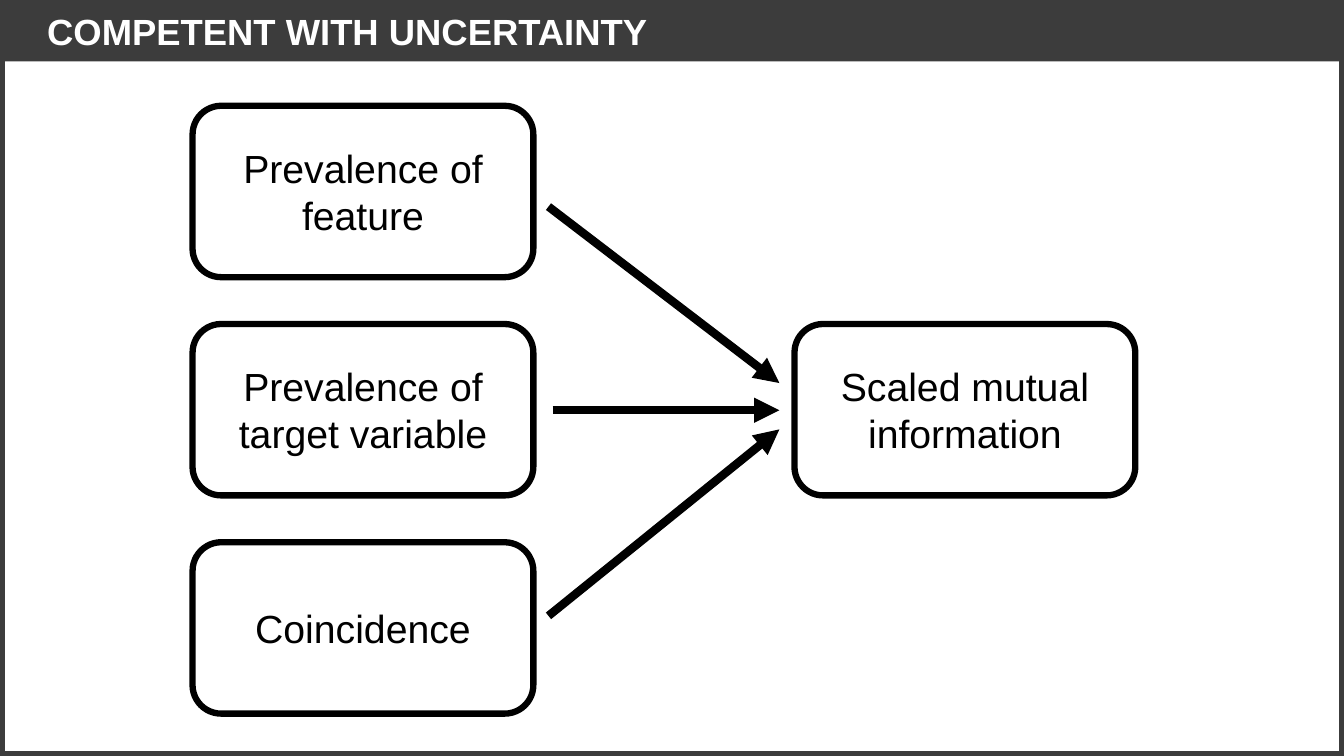
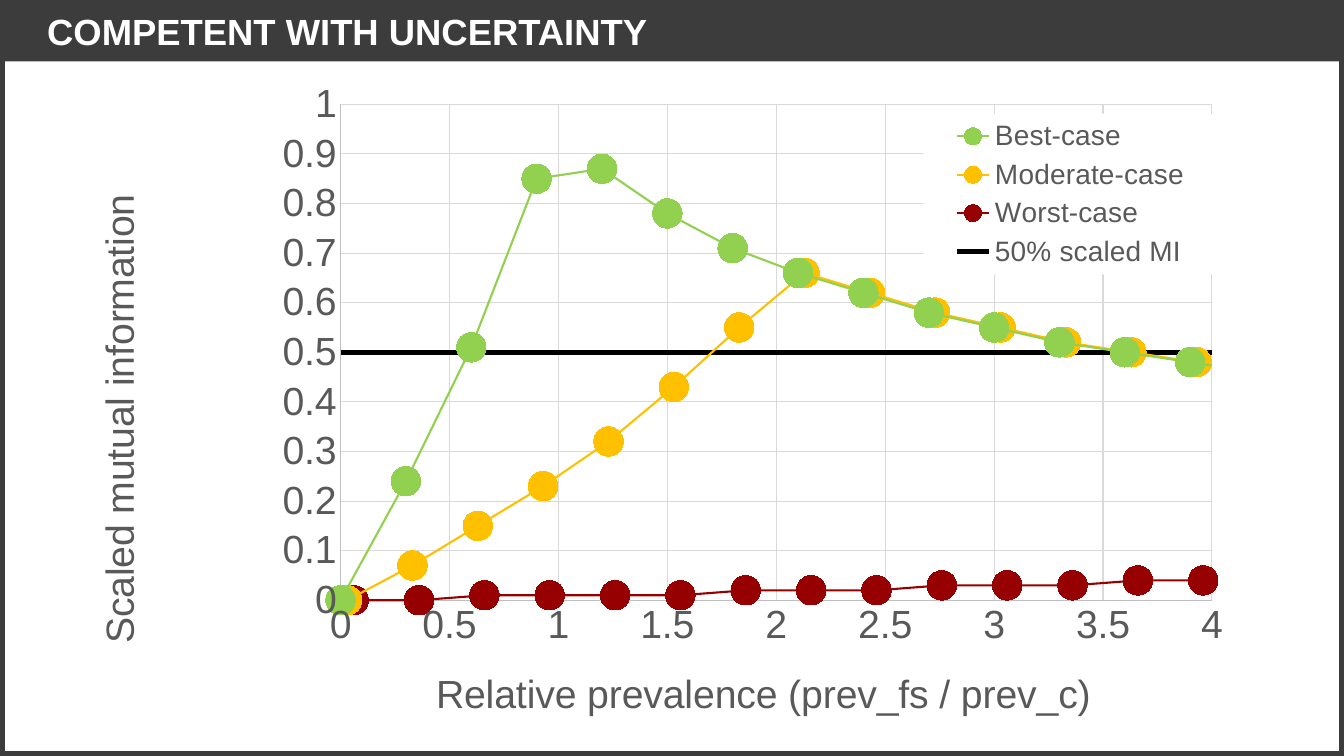
"""Build two slides on mutual information under uncertainty."""
from lxml.etree import SubElement
from pptx import Presentation
from pptx.chart.data import XyChartData
from pptx.dml.color import RGBColor
from pptx.enum.chart import XL_CHART_TYPE as ChartType
from pptx.enum.chart import XL_LEGEND_POSITION as LegendPosition
from pptx.enum.chart import XL_MARKER_STYLE as MarkerStyle
from pptx.enum.chart import XL_TICK_MARK as TickMark
from pptx.enum.shapes import MSO_CONNECTOR as Connector
from pptx.enum.shapes import MSO_SHAPE as Shape
from pptx.enum.text import MSO_ANCHOR as Anchor
from pptx.enum.text import PP_ALIGN as Align
from pptx.oxml import parse_xml
from pptx.oxml.ns import nsdecls, qn
from pptx.util import Inches, Pt

WIDTH, HEIGHT, BAND_HEIGHT = 13.33, 7.5, 0.61
FONT = "Arial"
DARK, WHITE, BLACK = "3C3C3C", "FFFFFF", "000000"
GREY, AXIS_GREY, GRID_GREY = "595959", "BFBFBF", "D9D9D9"
TITLE = "COMPETENT WITH UNCERTAINTY"

BOX_WIDTH, BOX_HEIGHT = 3.38, 1.7
INPUT_LEFT, RESULT_LEFT = 1.91, 7.88
FIRST_TOP, ROW_STEP = 1.05, 2.165
INPUTS = ["Prevalence of feature", "Prevalence of target variable", "Coincidence"]
ARROWS = [(5.44, 2.05, 3.8), (5.48, 4.07, 4.07), (5.44, 6.11, 4.26)]
ARROW_END = 7.73

X_STEP = 0.3
DECLINE = [0.66, 0.62, 0.58, 0.55, 0.52, 0.5, 0.48, 0.46, 0.44]
CASES = [
    ("Best-case", "92D050", 0, [0, 0.24, 0.51, 0.85, 0.87, 0.78, 0.71] + DECLINE),
    ("Moderate-case", "FFC000", 0.03,
     [0, 0.07, 0.15, 0.23, 0.32, 0.43, 0.55] + DECLINE),
    ("Worst-case", "960000", 0.06,
     [0, 0, 0.01, 0.01, 0.01, 0.01, 0.02, 0.02,
      0.02, 0.03, 0.03, 0.03, 0.04, 0.04, 0.04, 0.05]),
]


def colour(value):
    """Turn a hex string into a colour."""
    return RGBColor.from_string(value)


def apply(target, values):
    """Set each attribute in a dict on the target."""
    for name, value in values.items():
        setattr(target, name, value)


def style_font(font, size, shade, bold=False):
    """Give a font its face, size, weight and colour."""
    apply(font, {"name": FONT, "size": Pt(size), "bold": bold})
    font.color.rgb = colour(shade)


def style_line(line, shade, width):
    """Give a line its colour and width."""
    line.color.rgb = colour(shade)
    line.width = Pt(width)


def write(shape, text, size, shade, bold=False, align=Align.LEFT):
    """Write one paragraph in the middle of a shape's height."""
    frame = shape.text_frame
    apply(frame, {"word_wrap": True, "vertical_anchor": Anchor.MIDDLE})
    para = frame.paragraphs[0]
    para.alignment = align
    span = para.add_run()
    span.text = text
    style_font(span.font, size, shade, bold)


def add_box(page, kind, place, fill=None, line=None):
    """Add a flat preset shape with an optional fill and line."""
    box = page.shapes.add_shape(kind, *map(Inches, place))
    box.shadow.inherit = False
    if fill:
        box.fill.solid()
        box.fill.fore_color.rgb = colour(fill)
    else:
        box.fill.background()
    if line:
        style_line(box.line, *line)
    else:
        box.line.fill.background()
    return box


def add_page(deck):
    """Add a slide with the shared band, frame and title."""
    page = deck.slides.add_slide(deck.slide_layouts[6])
    add_box(page, Shape.RECTANGLE, (0, 0, WIDTH, BAND_HEIGHT), fill=DARK)
    add_box(page, Shape.RECTANGLE, (0, 0, WIDTH, HEIGHT), line=(DARK, 7.5))
    title = page.shapes.add_textbox(*map(Inches, (0.37, 0, 9.1, BAND_HEIGHT)))
    apply(title.text_frame, {"margin_top": 0, "margin_bottom": 0})
    write(title, TITLE, 26, WHITE, bold=True)
    return page


def add_node(page, text, left, row):
    """Add a rounded diagram box on a row."""
    place = (left, FIRST_TOP + row * ROW_STEP, BOX_WIDTH, BOX_HEIGHT)
    node = add_box(page, Shape.ROUNDED_RECTANGLE, place, line=(BLACK, 4.5))
    write(node, text, 28, BLACK, align=Align.CENTER)


def add_arrow(page, *ends):
    """Add a thick straight arrow."""
    arrow = page.shapes.add_connector(Connector.STRAIGHT, *map(Inches, ends))
    style_line(arrow.line, BLACK, 6)
    SubElement(arrow.line._get_or_add_ln(), qn("a:tailEnd"), type="triangle")
    SubElement(arrow._element.spPr, qn("a:effectLst"))


def place_part(element, index, **fractions):
    """Fix a chart part at fractions of the chart's size."""
    for old in element.findall(qn("c:layout")):
        element.remove(old)
    layout = parse_xml(f"<c:layout {nsdecls('c')}><c:manualLayout/></c:layout>")
    inner = layout[0]
    if element.tag == qn("c:plotArea"):
        SubElement(inner, qn("c:layoutTarget"), val="inner")
    for side in "xy":
        SubElement(inner, qn(f"c:{side}Mode"), val="edge")
    for side, value in fractions.items():
        SubElement(inner, qn(f"c:{side}"), val=str(value))
    element.insert(index, layout)


def style_axis(axis, title, top, unit, x, y):
    """Style an axis with its scale, grid and title."""
    apply(axis, {"minimum_scale": 0, "maximum_scale": top, "major_unit": unit,
                 "major_tick_mark": TickMark.NONE,
                 "minor_tick_mark": TickMark.NONE,
                 "has_major_gridlines": True})
    style_font(axis.tick_labels.font, 28, GREY)
    style_line(axis.format.line, AXIS_GREY, 0.75)
    style_line(axis.major_gridlines.format.line, GRID_GREY, 0.75)
    para = axis.axis_title.text_frame.paragraphs[0]
    span = para.add_run()
    span.text = title
    style_font(span.font, 28, GREY)
    place_part(axis.axis_title._element, 1, x=x, y=y)


def style_legend(chart):
    """Place a white legend over the top right of the plot."""
    chart.has_legend = True
    legend = chart.legend
    apply(legend, {"position": LegendPosition.RIGHT, "include_in_layout": True})
    style_font(legend.font, 20, GREY)
    element = legend._element
    place_part(element, 1, x=0.72, y=0.06, w=0.25, h=0.24)
    element.find(qn("c:overlay")).addnext(parse_xml(
        f"<c:spPr {nsdecls('c', 'a')}><a:solidFill>"
        f"<a:srgbClr val='{WHITE}'/></a:solidFill></c:spPr>"))


def style_series(series, shade, width, marked):
    """Give a series its line and its markers."""
    series.smooth = False
    style_line(series.format.line, shade, width)
    marker = series.marker
    if not marked:
        marker.style = MarkerStyle.NONE
        return
    apply(marker, {"style": MarkerStyle.CIRCLE, "size": 21})
    marker.format.fill.solid()
    marker.format.fill.fore_color.rgb = colour(shade)
    style_line(marker.format.line, shade, 0.75)


def add_scatter(page):
    """Add the scatter chart of the cases and the 50% line."""
    data = XyChartData()
    for name, _, start, values in CASES:
        case = data.add_series(name)
        for step, value in enumerate(values):
            case.add_data_point(round(start + step * X_STEP, 2), value)
    half = data.add_series("50% scaled MI")
    for x in (0, 15):
        half.add_data_point(x, 0.5)
    place = map(Inches, (0.75, 0.73, 11.68, 6.64))
    chart = page.shapes.add_chart(ChartType.XY_SCATTER_LINES, *place, data).chart
    chart.has_title = False
    style_font(chart.font, 10, BLACK)
    plot = chart.plots[0]
    plot.vary_by_categories = False
    styles = [(shade, 1.5, True) for _, shade, _, _ in CASES]
    for series, style in zip(plot.series, styles + [(BLACK, 3.75, False)]):
        style_series(series, *style)
    style_axis(chart.category_axis, "Relative prevalence (prev_fs / prev_c)",
               4, 0.5, 0.3, 0.88)
    style_axis(chart.value_axis, "Scaled mutual information", 1, 0.1, 0.01, 0.17)
    body = chart.value_axis.axis_title._element.find(".//" + qn("a:bodyPr"))
    body.set("rot", "-5400000")
    style_legend(chart)
    plot_area = chart._chartSpace.find(".//" + qn("c:plotArea"))
    place_part(plot_area, 0, x=0.225, y=0.046, w=0.74, h=0.741)


def build_diagram(deck):
    """Build the slide with three inputs and their result."""
    page = add_page(deck)
    for row, text in enumerate(INPUTS):
        add_node(page, text, INPUT_LEFT, row)
    add_node(page, "Scaled mutual information", RESULT_LEFT, 1)
    for left, start, end in ARROWS:
        add_arrow(page, left, start, ARROW_END, end)


def main():
    """Build and save the deck."""
    deck = Presentation()
    apply(deck, {"slide_width": Inches(WIDTH), "slide_height": Inches(HEIGHT)})
    build_diagram(deck)
    add_scatter(add_page(deck))
    deck.save("out.pptx")


if __name__ == "__main__":
    main()
